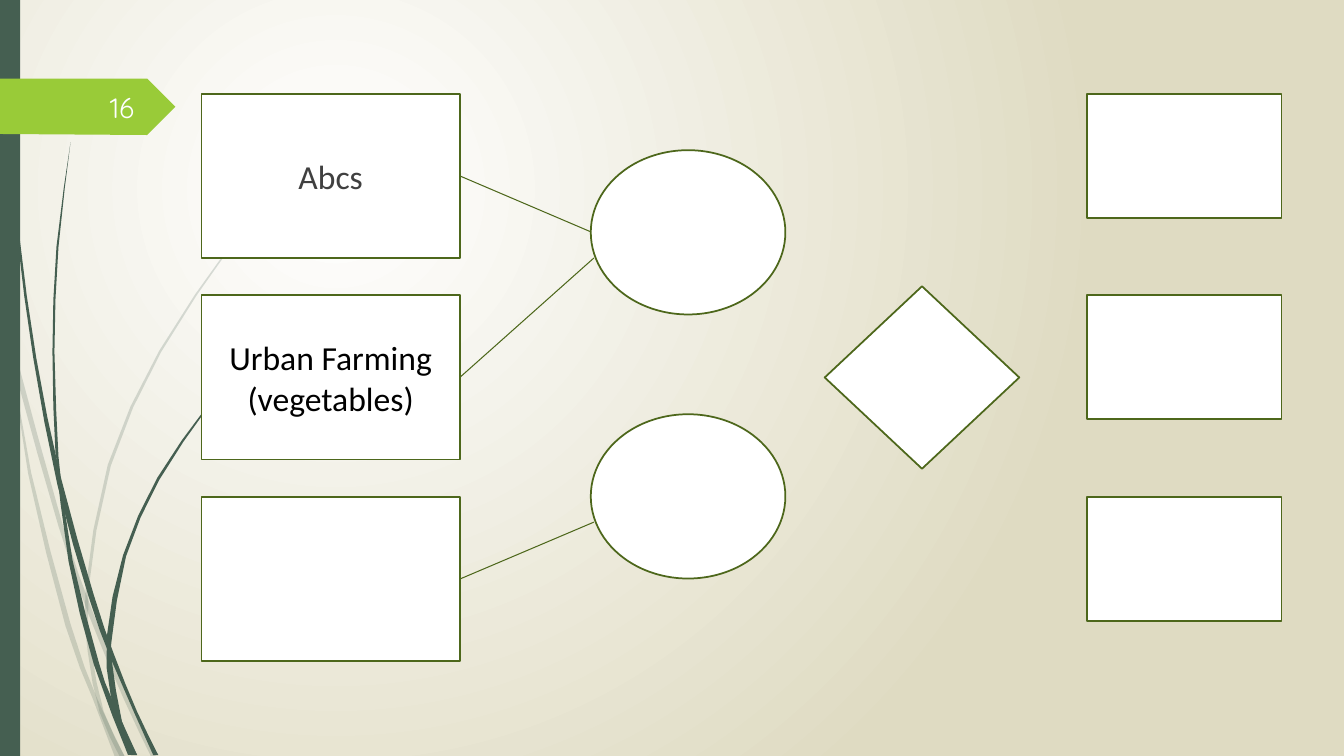
"""Builds a flow diagram slide with three inputs, two hubs, a decision and three outputs."""
import dataclasses

import lxml.etree
import pptx
import pptx.dml.color
import pptx.enum.shapes
import pptx.enum.text
import pptx.oxml.ns
import pptx.util

PX = 9144
KIND = pptx.enum.shapes.MSO_SHAPE
ALIGN = pptx.enum.text.PP_ALIGN
MIDDLE = pptx.enum.text.MSO_ANCHOR.MIDDLE


@dataclasses.dataclass(frozen=True)
class Theme:
    """Colours, fonts and sizes of the slide."""
    white: str = "FFFFFF"
    sand: str = "DFDBC2"
    forest: str = "455F51"
    lime: str = "99CB38"
    outline: str = "4D671B"
    grey: str = "404040"
    black: str = "000000"
    number: str = "FEFFFF"
    body_font: str = "Calibri"
    number_font: str = "Quicksand"
    body_size: int = 24
    number_size: int = 20
    box_line: float = 1.25
    link_line: float = 0.75


THEME = Theme()

PALE_BLADES = [
    ([(0, 299), (17, 376), (58, 522), (88, 610), (123, 694), (150, 751)],
     [(155, 751), (127, 692), (92, 607), (62, 520), (14, 345), (0, 282)]),
    ([(11, 350), (28, 470), (65, 621), (92, 693), (114, 751)],
     [(124, 751), (96, 692), (70, 619), (31, 469), (11, 350)]),
    ([(312, 153), (268, 197), (228, 244), (158, 348), (107, 461), (85, 584), (87, 646), (99, 707), (119, 751)],
     [(124, 751), (103, 706), (91, 646), (88, 584), (110, 462), (160, 349), (229, 245), (268, 198), (312, 154)]),
]

DARK_BLADES = [
    ([(3, 0), (7, 110), (17, 233), (33, 355), (57, 481), (88, 592), (111, 656), (152, 749)],
     [(157, 749), (136, 706), (113, 649), (93, 590), (60, 472), (36, 355), (19, 232), (8, 109), (4, 0)]),
    ([(55, 453), (68, 557), (93, 659), (127, 749)],
     [(136, 749), (110, 691), (98, 657), (72, 556), (60, 472)]),
    ([(70, 141), (56, 245), (52, 349), (55, 449), (60, 472)],
     [(58, 453), (54, 349), (58, 245), (70, 141)]),
    ([(260, 344), (231, 373), (204, 405), (156, 474), (122, 551), (106, 631), (110, 691), (130, 749)],
     [(136, 749), (121, 716), (111, 656), (111, 633), (125, 552), (158, 476), (205, 406), (231, 374), (261, 344)]),
]

TAG = [(0, 78), (146, 78), (174, 106), (146, 134), (0, 133)]


def rgb(code):
    """Turn a hex code into a colour."""
    return pptx.dml.color.RGBColor.from_string(code)


def apply(target, formats):
    """Set each format value on the target."""
    for name, value in formats.items():
        setattr(target, name, value)


def paint(shape, fill, line=None):
    """Give a shape a flat fill and an optional outline."""
    shape.shadow.inherit = False
    shape.fill.solid()
    shape.fill.fore_color.rgb = rgb(fill)
    if line:
        shape.line.color.rgb = rgb(line)
        shape.line.width = pptx.util.Pt(THEME.box_line)
    else:
        shape.line.fill.background()


def write(shape, text, align, font, size, color):
    """Write vertically centred text with one paragraph per line."""
    frame = shape.text_frame
    apply(frame, {"text": text, "word_wrap": True, "vertical_anchor": MIDDLE})
    for paragraph in frame.paragraphs:
        paragraph.alignment = align
        for run in paragraph.runs:
            apply(run.font, {"name": font, "size": pptx.util.Pt(size)})
            run.font.color.rgb = rgb(color)


def add_node(slide, kind, left, top, width, height, text="", color=THEME.black):
    """Add one outlined white node of the diagram."""
    node = slide.shapes.add_shape(kind, left * PX, top * PX, width * PX, height * PX)
    paint(node, THEME.white, THEME.outline)
    if text:
        write(node, text, ALIGN.CENTER, THEME.body_font, THEME.body_size, color)
    return node


def add_link(slide, source, x, y):
    """Join the right side of a node to a point."""
    link = slide.shapes.add_connector(pptx.enum.shapes.MSO_CONNECTOR.STRAIGHT, 0, 0, x * PX, y * PX)
    link.begin_connect(source, 3)
    link.line.color.rgb = rgb(THEME.outline)
    link.line.width = pptx.util.Pt(THEME.link_line)
    lxml.etree.SubElement(link.element.spPr, pptx.oxml.ns.qn("a:effectLst"))


def add_outline(slide, points, fill):
    """Add a closed outline through the points."""
    corners = [(round(x * PX), round(y * PX)) for x, y in points]
    builder = slide.shapes.build_freeform(*corners[0], scale=1.0)
    builder.add_line_segments(corners[1:], close=True)
    outline = builder.convert_to_shape()
    paint(outline, fill)
    return outline


def smooth_edge(knots):
    """Add a point on the smooth curve halfway between each two knots."""
    padded = [knots[0], *knots, knots[-1]]
    points = [knots[0]]
    for before, start, end, after in zip(padded, padded[1:], padded[2:], padded[3:]):
        halfway = tuple((9 * (b + c) - a - d) / 16 for a, b, c, d in zip(before, start, end, after))
        points += [halfway, end]
    return points


def add_grass(slide, blades, opacity=100):
    """Add blades of grass, each given by its two edges."""
    for left_edge, right_edge in blades:
        blade = add_outline(slide, smooth_edge(left_edge) + smooth_edge(right_edge), THEME.forest)
        if opacity < 100:
            color = blade.element.spPr.find(".//" + pptx.oxml.ns.qn("a:srgbClr"))
            lxml.etree.SubElement(color, pptx.oxml.ns.qn("a:alpha"), val=str(opacity * 1000))


def add_glow(slide):
    """Fill the background with a round gradient."""
    fill = slide.background.fill
    fill.gradient()
    for stop, color, position in zip(fill.gradient_stops, (THEME.white, THEME.sand), (0, 1)):
        stop.color.rgb = rgb(color)
        stop.position = position
    gradient = slide.element.find(".//" + pptx.oxml.ns.qn("a:gradFill"))
    gradient.remove(gradient.find(pptx.oxml.ns.qn("a:lin")))
    circle = lxml.etree.SubElement(gradient, pptx.oxml.ns.qn("a:path"), path="circle")
    lxml.etree.SubElement(circle, pptx.oxml.ns.qn("a:fillToRect"), l="50000", t="50000", r="100000", b="100000")


def main():
    """Build and save the slide."""
    deck = pptx.Presentation()
    apply(deck, {"slide_width": 1333 * PX, "slide_height": 750 * PX})
    slide = deck.slides.add_slide(deck.slide_layouts[6])
    add_glow(slide)
    add_grass(slide, PALE_BLADES, opacity=20)
    add_grass(slide, DARK_BLADES)
    side_bar = slide.shapes.add_shape(KIND.RECTANGLE, 0, 0, 20 * PX, 750 * PX)
    paint(side_bar, THEME.forest)
    add_outline(slide, TAG, THEME.lime)

    topics = [("Abcs", THEME.grey), ("Urban Farming\n(vegetables)", THEME.black), ("", THEME.black)]
    inputs = [add_node(slide, KIND.RECTANGLE, 200, 93 + 200 * row, 256, 163, text, color)
              for row, (text, color) in enumerate(topics)]
    for top in (149, 411):
        add_node(slide, KIND.OVAL, 586, top, 193, 163)
    add_node(slide, KIND.FLOWCHART_DECISION, 818, 284, 193, 181)
    for row in range(3):
        add_node(slide, KIND.RECTANGLE, 1078, 93 + 200 * row, 193, 123)
    for source, end in zip(inputs, [(586, 230), (589, 256), (589, 518)]):
        add_link(slide, source, *end)

    page_number = slide.shapes.add_textbox(58 * PX, 86 * PX, 85 * PX, 40 * PX)
    write(page_number, "16", ALIGN.RIGHT, THEME.number_font, THEME.number_size, THEME.number)
    deck.save("out.pptx")


if __name__ == "__main__":
    main()
